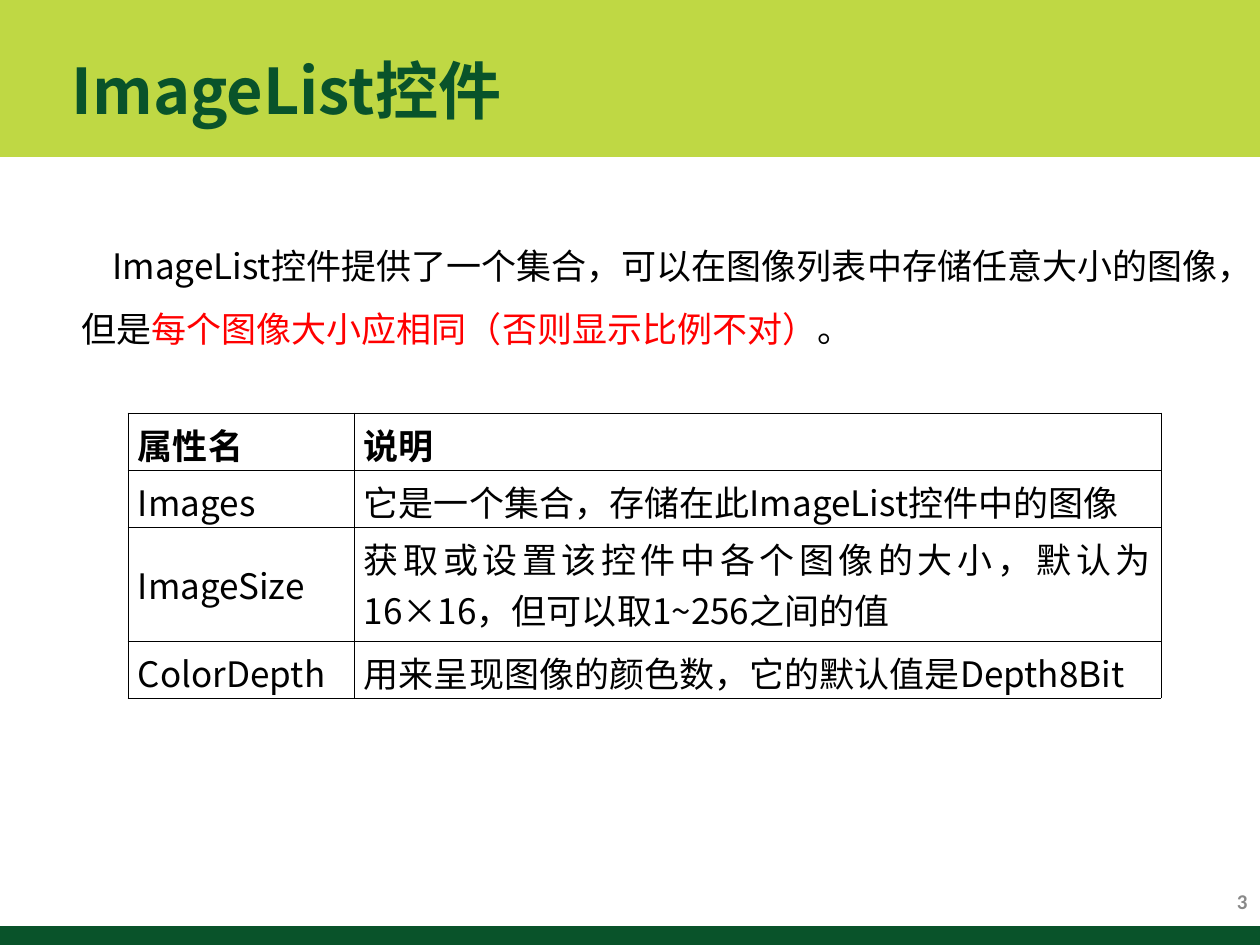
"""Build the slide that introduces the ImageList control and its properties."""
import pptx
import pptx.dml.color
import pptx.enum.shapes
import pptx.enum.text
import pptx.oxml
import pptx.oxml.ns
import pptx.util

PX = 914400 // 126
CJK = "Noto Sans CJK SC"
ALIGN = pptx.enum.text.PP_ALIGN
MIDDLE = pptx.enum.text.MSO_ANCHOR.MIDDLE


def color(value):
    return pptx.dml.color.RGBColor.from_string(value)


def add_span(para, text, size, fill, bold=False, face=CJK):
    span = para.add_run()
    span.text = text
    formats = {"size": pptx.util.Pt(size), "bold": bold, "name": face}
    for name, value in formats.items():
        setattr(span.font, name, value)
    span.font.color.rgb = color(fill)
    east_asian = pptx.oxml.parse_xml(
        f'<a:ea {pptx.oxml.ns.nsdecls("a")} typeface="{face}"/>'
    )
    span.font._element.append(east_asian)


deck = pptx.Presentation()
deck.slide_width, deck.slide_height = 1260 * PX, 945 * PX
page = deck.slides.add_slide(deck.slide_layouts[5])

bands = [(0, 157, "BFD844"), (926, 19, "09532A")]
for order, (top, height, fill) in enumerate(bands):
    band = page.shapes.add_shape(
        pptx.enum.shapes.MSO_SHAPE.RECTANGLE, 0, top * PX, 1260 * PX, height * PX
    )
    band.shadow.inherit = False
    band.fill.solid()
    band.fill.fore_color.rgb = color(fill)
    band.line.fill.background()
    page.shapes._spTree.insert(2 + order, band._element)

title = page.shapes.title
bounds = {"left": 59, "top": 29, "width": 935, "height": 120}
for name, value in bounds.items():
    setattr(title, name, value * PX)
title.text_frame.vertical_anchor = MIDDLE
title_para = title.text_frame.paragraphs[0]
title_para.alignment = ALIGN.LEFT
add_span(title_para, "ImageList控件", 36, "09532A", True)

intro = page.shapes.add_textbox(69 * PX, 217 * PX, 1162 * PX, 139 * PX)
intro.text_frame.word_wrap = True
intro_para = intro.text_frame.paragraphs[0]
intro_para.line_spacing = 1.5
intro_para._p.get_or_add_pPr().set("indent", str(31 * PX))
intro_spans = [
    ("ImageList控件提供了一个集合，可以在图像列表中存储任意大小的图像，但是", "000000"),
    ("每个图像大小应相同（否则显示比例不对）", "FF0000"),
    ("。", "000000"),
]
for text, fill in intro_spans:
    add_span(intro_para, text, 20, fill)

properties = [
    ("属性名", "说明"),
    ("Images", "它是一个集合，存储在此ImageList控件中的图像"),
    ("ImageSize", "获取或设置该控件中各个图像的大小，默认为16×16，但可以取1~256之间的值"),
    ("ColorDepth", "用来呈现图像的颜色数，它的默认值是Depth8Bit"),
]
widths = [226, 807]
heights = [57, 57, 114, 57]
table = page.shapes.add_table(
    len(heights), len(widths), 128 * PX, 413 * PX, sum(widths) * PX, sum(heights) * PX
).table
table.first_row = table.horz_banding = False
for column, width in zip(table.columns, widths):
    column.width = width * PX
for row, height in zip(table.rows, heights):
    row.height = height * PX

cell_formats = {
    "vertical_anchor": MIDDLE,
    "margin_left": 10 * PX,
    "margin_right": 10 * PX,
    "margin_top": 6 * PX,
    "margin_bottom": 6 * PX,
}
for row_index, texts in enumerate(properties):
    for column_index, text in enumerate(texts):
        cell = table.cell(row_index, column_index)
        for name, value in cell_formats.items():
            setattr(cell, name, value)
        for side in ("lnL", "lnR", "lnT", "lnB"):
            border = pptx.oxml.parse_xml(
                f'<a:{side} {pptx.oxml.ns.nsdecls("a")} w="5715"><a:solidFill>'
                f'<a:srgbClr val="000000"/></a:solidFill></a:{side}>'
            )
            cell._tc.get_or_add_tcPr().append(border)
        cell.fill.background()
        cell_para = cell.text_frame.paragraphs[0]
        cell_para.alignment = ALIGN.JUSTIFY
        add_span(cell_para, text, 20, "000000", row_index == 0)

number = page.shapes.add_textbox(966 * PX, 876 * PX, 294 * PX, 50 * PX)
number.text_frame.word_wrap = True
number.text_frame.vertical_anchor = MIDDLE
number_para = number.text_frame.paragraphs[0]
number_para.alignment = ALIGN.RIGHT
add_span(number_para, "3", 12, "898989", True, "Calibri")

deck.save("out.pptx")
